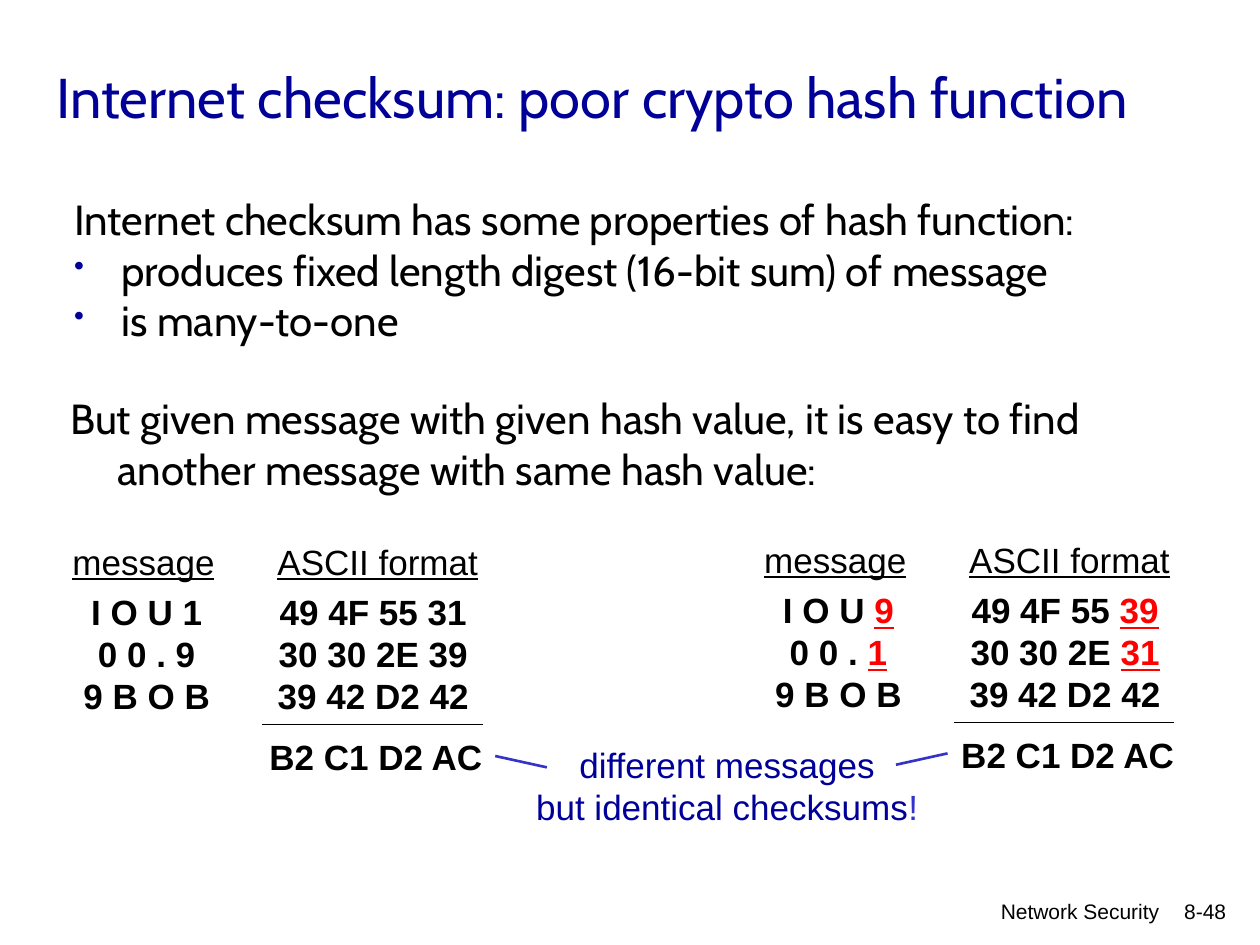
"""Build a slide on why the Internet checksum is a poor crypto hash."""
from dataclasses import dataclass, field
from typing import Any

from lxml.etree import SubElement as Sub
from pptx import Presentation
from pptx.dml.color import RGBColor as RGB
from pptx.enum.shapes import MSO_CONNECTOR as Conn
from pptx.enum.text import MSO_ANCHOR as Anchor
from pptx.enum.text import MSO_AUTO_SIZE as Auto
from pptx.enum.text import PP_ALIGN as Align
from pptx.oxml.ns import qn
from pptx.util import Pt


@dataclass(frozen=True)
class Theme:
    ink: str = "000000"
    navy: str = "000099"
    blue: str = "3333CC"
    red: str = "FF0000"
    head: str = "Cabin"
    sans: str = "Arial"
    title: float = 32
    body: float = 24
    code: float = 20
    foot: float = 12
    hang: float = 27
    thin: float = 0.75
    thick: float = 1.5


T = Theme()


@dataclass(frozen=True)
class Span:
    text: str
    hue: str = T.ink
    under: bool = False


@dataclass(frozen=True)
class Para:
    spans: tuple[Span, ...]
    dot: bool = False


@dataclass(frozen=True)
class Style:
    size: float = T.code
    face: str = T.sans
    bold: bool = False
    align: Any = Align.CENTER
    hang: float = 0
    frame: dict[str, Any] = field(default_factory=lambda: {
        "word_wrap": False, "auto_size": Auto.SHAPE_TO_FIT_TEXT})


@dataclass(frozen=True)
class Box:
    x: float
    y: float
    w: float
    h: float
    paras: tuple[Para, ...]
    style: Style


@dataclass(frozen=True)
class Rule:
    x1: float
    y1: float
    x2: float
    y2: float
    hue: str = T.ink
    width: float = T.thin


@dataclass(frozen=True)
class Sum:
    x: float
    y: float
    words: tuple[Para, ...]
    codes: tuple[Para, ...]


def put(obj: Any, vals: dict[str, Any]) -> None:
    """Set each named value on an object."""
    for name, val in vals.items():
        setattr(obj, name, val)


def line(text: str, hue: str = T.ink, under: bool = False, dot: bool = False) -> Para:
    """Make a paragraph of one span."""
    return Para((Span(text, hue, under),), dot)


def mark(text: str, last: str) -> Para:
    """Make a paragraph whose last part is stressed."""
    return Para((Span(text), Span(last, T.red, True)))


def indent(para: Any, hang: float, dot: bool) -> None:
    """Give a paragraph a hanging indent and perhaps a bullet."""
    prop = para._p.get_or_add_pPr()
    prop.set("marL", str(Pt(hang)))
    prop.set("indent", str(-Pt(hang)))
    if dot:
        Sub(Sub(prop, qn("a:buClr")), qn("a:srgbClr"), val=T.navy)
        Sub(prop, qn("a:buSzPct"), val="70000")
        Sub(prop, qn("a:buChar"), char="•")


def write(slide: Any, box: Box) -> None:
    """Draw a text box."""
    style = box.style
    frame = slide.shapes.add_textbox(*map(Pt, (box.x, box.y, box.w, box.h))).text_frame
    put(frame, style.frame)
    for i, item in enumerate(box.paras):
        para = frame.add_paragraph() if i else frame.paragraphs[0]
        para.alignment = style.align
        if style.hang:
            indent(para, style.hang, item.dot)
        for span in item.spans:
            run = para.add_run()
            run.text = span.text
            put(run.font, {"size": Pt(style.size), "name": style.face,
                           "bold": style.bold, "underline": span.under})
            run.font.color.rgb = RGB.from_string(span.hue)


def draw(slide: Any, rule: Rule) -> None:
    """Draw a straight line."""
    ends = map(Pt, (rule.x1, rule.y1, rule.x2, rule.y2))
    link = slide.shapes.add_connector(Conn.STRAIGHT, *ends)
    link.line.color.rgb = RGB.from_string(rule.hue)
    link.line.width = Pt(rule.width)
    Sub(link._element.spPr, qn("a:effectLst"))


def add_sum(slide: Any, part: Sum) -> None:
    """Draw one message with its codes and checksum."""
    x, y = part.x, part.y
    plain, bold = Style(), Style(bold=True)
    for box in (
        Box(x + 6.5, y + 28.8, 87, 80, part.words, bold),
        Box(x + 117.3, y + 28.8, 124.5, 80, part.codes, bold),
        Box(x, y, 96.5, 31.5, (line("message", under=True),), plain),
        Box(x + 117.3, y, 129.6, 31.5, (line("ASCII format", under=True),), plain),
        Box(x + 112.3, y + 111.6, 137.5, 31.5, (line("B2 C1 D2 AC"),), bold),
    ):
        write(slide, box)
    draw(slide, Rule(x + 116, y + 108.7, x + 242, y + 108.7))


def main() -> None:
    """Build and save the slide."""
    deck = Presentation()
    put(deck, {"slide_width": Pt(720), "slide_height": Pt(540)})
    slide = deck.slides.add_slide(deck.slide_layouts[6])

    wrap = {"word_wrap": True}
    head = Style(T.title, T.head, align=Align.LEFT,
                 frame=wrap | {"vertical_anchor": Anchor.MIDDLE})
    body = Style(T.body, T.head, align=Align.LEFT, hang=T.hang, frame=wrap)
    foot = Style(T.foot, align=Align.RIGHT, frame=wrap)
    facts = (
        line("Internet checksum has some properties of hash function:"),
        line("produces fixed length digest (16-bit sum) of message", dot=True),
        line("is many-to-one", dot=True),
    )
    need = ("But given message with given hash value, it is easy to find "
            "another message with same hash value:")
    note = (
        line("different messages", T.navy),
        Para((Span("but identical checksums", T.navy), Span("!", T.blue))),
    )
    for box in (
        Box(654.5, 509.8, 53.3, 24, (line("8-48"),), foot),
        Box(365.8, 509.8, 303.8, 24, (line("Network Security"),), foot),
        Box(25.2, 21.6, 639.4, 66.2,
            (line("Internet checksum: poor crypto hash function", T.navy),), head),
        Box(35.3, 107.3, 663, 167, facts, body),
        Box(33, 221, 663, 77, (line(need),), body),
        Box(294.5, 421.2, 242, 55.5, note, Style()),
    ):
        write(slide, box)

    name, code = line("9 B O B"), line("39 42 D2 42")
    for part in (
        Sum(33.8, 305.3, (line("I O U 1"), line("0 0 . 9"), name),
            (line("49 4F 55 31"), line("30 30 2E 39"), code)),
        Sum(429.1, 304.1, (mark("I O U ", "9"), mark("0 0 . ", "1"), name),
            (mark("49 4F 55 ", "39"), mark("30 30 2E ", "31"), code)),
    ):
        add_sum(slide, part)

    draw(slide, Rule(312.5, 438.5, 283, 432, T.blue, T.thick))
    draw(slide, Rule(512, 437, 541.5, 430.5, T.blue, T.thick))
    deck.save("out.pptx")


if __name__ == "__main__":
    main()
